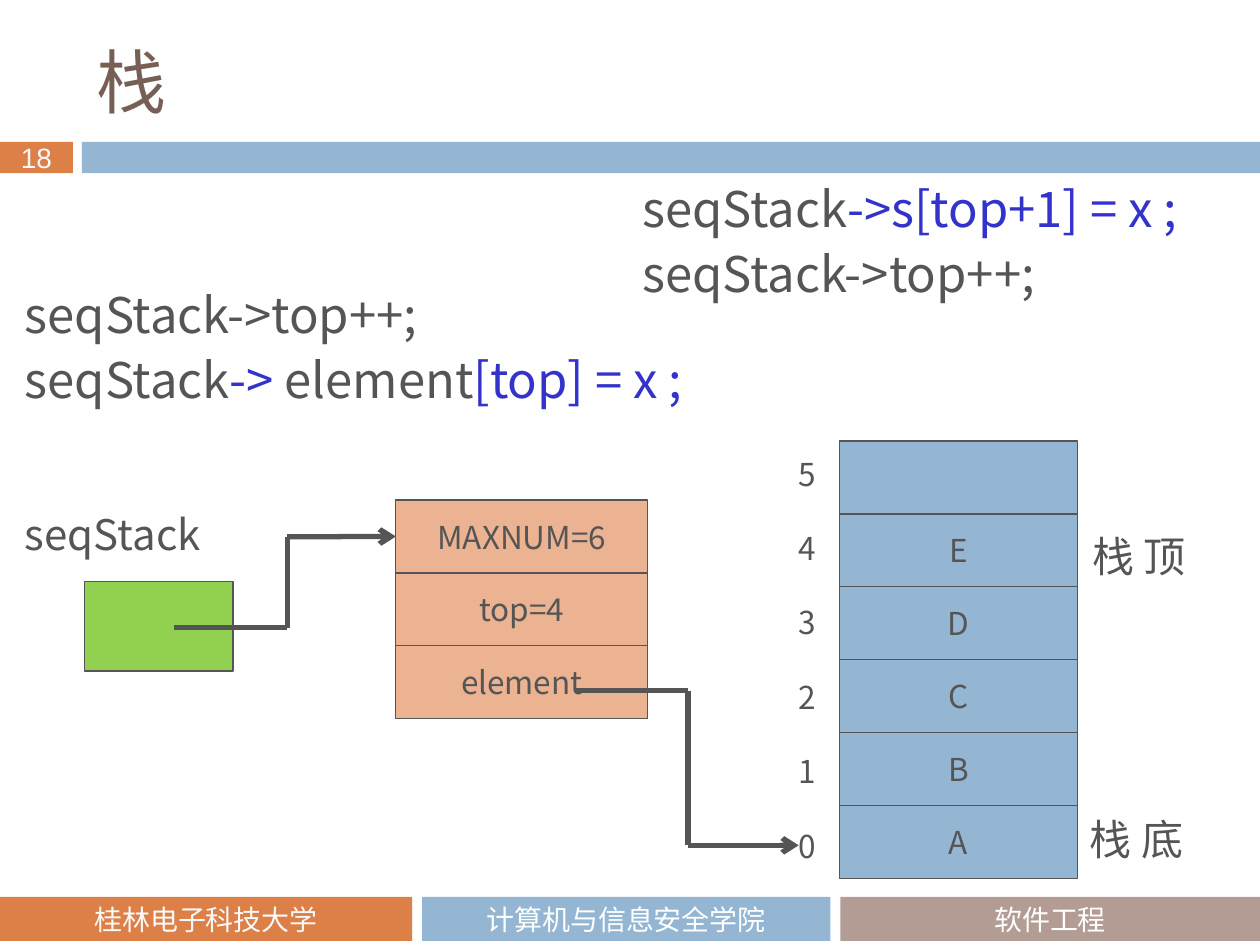
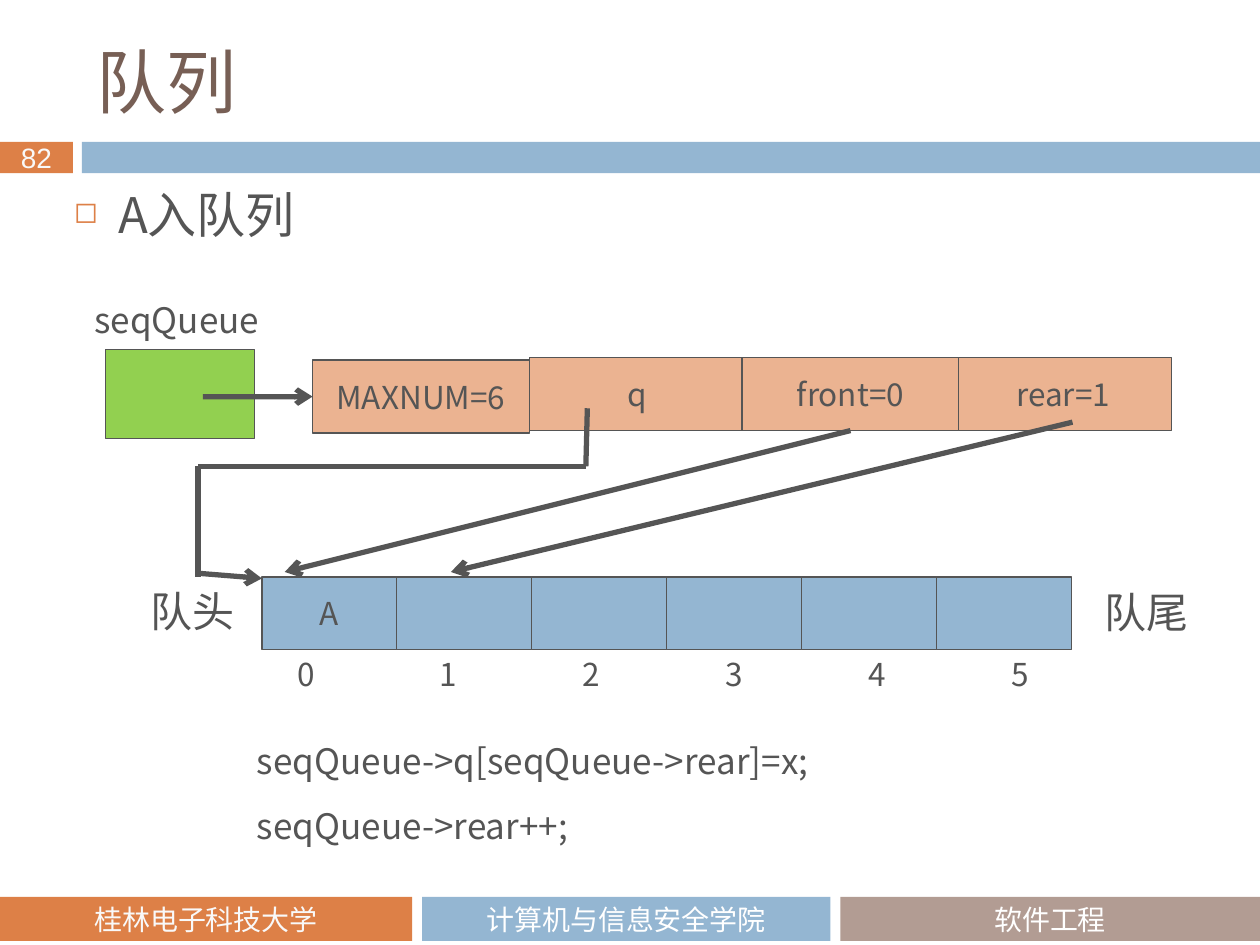
from itertools import pairwise

from lxml import etree
from pptx import Presentation
from pptx import util as u
from pptx.dml.color import RGBColor
from pptx.enum import shapes, text
from pptx.oxml import ns

COLOURS = {
    "orange": "DD8047", "blue": "94B6D2", "taupe": "B29C93",
    "peach": "EBB391", "green": "92D050", "ink": "555555",
    "code": "3333CC", "title": "775F55", "white": "FFFFFF", "pale": "F9F9F9",
}
BODY_FONT = "Noto Sans CJK SC"
TITLE_FONT = "Noto Sans CJK JP"
FOOTERS = [
    (0, 8.31, "orange", "桂林电子科技大学", "pale"),
    (8.51, 8.23, "blue", "计算机与信息安全学院", "white"),
    (16.94, 8.46, "taupe", "软件工程", "white"),
]
CELL_HEIGHT = 1.47


def rgb(name):
    return RGBColor.from_string(COLOURS[name])


def add_xml(parent, tag, **attributes):
    return etree.SubElement(parent, ns.qn(tag), attributes)


class Deck:
    def __init__(self):
        self.prs = Presentation()
        self.prs.slide_width, self.prs.slide_height = u.Cm(25.4), u.Cm(19.05)
        self.slide = None

    def style_run(self, run, size, colour="ink", font=BODY_FONT):
        run.font.size = u.Pt(size)
        run.font.name = font
        run.font.color.rgb = rgb(colour)
        add_xml(run._r.get_or_add_rPr(), "a:ea", typeface=font)

    def start_slide(self, title, number):
        """Add a slide with its title, number band and footers."""
        self.slide = self.prs.slides.add_slide(self.prs.slide_layouts[5])
        heading = self.slide.shapes.title
        heading.left, heading.top = u.Cm(1.7), u.Cm(0.64)
        heading.width, heading.height = u.Cm(22.66), u.Cm(1.98)
        heading.text_frame.text = title
        heading.text_frame.vertical_anchor = text.MSO_ANCHOR.MIDDLE
        paragraph = heading.text_frame.paragraphs[0]
        paragraph.alignment = text.PP_ALIGN.LEFT
        self.style_run(paragraph.runs[0], 40, "title", TITLE_FONT)

        self.band(0, 2.86, 1.47, 0.63, "orange", number, "pale", "Arial")
        self.band(1.65, 2.86, 23.75, 0.63, "blue")
        for left, width, fill, words, colour in FOOTERS:
            self.band(left, 18.08, width, 0.89, fill, words, colour)

    def rect(self, left, top, width, height, fill):
        box = self.slide.shapes.add_shape(
            shapes.MSO_SHAPE.RECTANGLE,
            u.Cm(left), u.Cm(top), u.Cm(width), u.Cm(height))
        box.shadow.inherit = False
        box.fill.solid()
        box.fill.fore_color.rgb = rgb(fill)
        return box

    def centre_text(self, box, words, size, colour="ink", font=BODY_FONT):
        frame = box.text_frame
        frame.margin_top = frame.margin_bottom = 0
        frame.margin_left = frame.margin_right = 0
        frame.vertical_anchor = text.MSO_ANCHOR.MIDDLE
        frame.text = words
        frame.paragraphs[0].alignment = text.PP_ALIGN.CENTER
        self.style_run(frame.paragraphs[0].runs[0], size, colour, font)

    def band(self, left, top, width, height, fill, words="",
             colour="white", font="Calibri"):
        box = self.rect(left, top, width, height, fill)
        box.line.fill.background()
        if words:
            self.centre_text(box, words, 16, colour, font)

    def cell(self, left, top, width, fill, words="", height=CELL_HEIGHT):
        """Draw one outlined memory cell."""
        box = self.rect(left, top, width, height, fill)
        box.line.color.rgb = rgb("ink")
        box.line.width = u.Pt(0.75)
        if words:
            self.centre_text(box, words, 18)
        return box

    def pointer_cell(self, left, top):
        self.cell(left, top, 3, "green", height=1.8)

    def text_box(self, left, top, width, height):
        box = self.slide.shapes.add_textbox(
            u.Cm(left), u.Cm(top), u.Cm(width), u.Cm(height))
        box.text_frame.word_wrap = True
        return box.text_frame

    def lines(self, left, top, width, height, size, *rows):
        """Write rows of text; each row is a list of (words, colour) runs or a string."""
        frame = self.text_box(left, top, width, height)
        for i, row in enumerate(rows):
            paragraph = frame.add_paragraph() if i else frame.paragraphs[0]
            paragraph.line_spacing = u.Pt(30)
            if i:
                paragraph.space_before = u.Pt(7)
            for words, colour in [(row, "ink")] if isinstance(row, str) else row:
                run = paragraph.add_run()
                run.text = words
                self.style_run(run, size, colour)
        return frame

    def label(self, left, top, width, words, size=24):
        self.lines(left, top, width, 1.32, size, words)

    def bullet(self, left, top, width, height, words):
        frame = self.lines(left, top, width, height, 28, words)
        properties = frame.paragraphs[0]._p.get_or_add_pPr()
        indent = u.Cm(0.89)
        properties.set("marL", str(indent))
        properties.set("indent", str(-indent))
        add_xml(add_xml(properties, "a:buClr"), "a:srgbClr", val=COLOURS["orange"])
        add_xml(properties, "a:buSzPct", val="60000")
        add_xml(properties, "a:buChar", char="◻")

    def index(self, left, top, number):
        frame = self.text_box(left, top, 0.91, 1.02)
        frame.word_wrap = False
        frame.text = str(number)
        self.style_run(frame.paragraphs[0].runs[0], 18)

    def route(self, *points, arrow=True, source=None, target=None):
        """Join points by straight lines; source leaves at its bottom, target is met at its left."""
        for start, end in pairwise(points):
            line = self.slide.shapes.add_connector(
                shapes.MSO_CONNECTOR.STRAIGHT, *map(u.Cm, start + end))
            line.line.color.rgb = rgb("ink")
            line.line.width = u.Pt(3)
            properties = line.element.spPr
            if arrow and end == points[-1]:
                add_xml(properties.find(ns.qn("a:ln")), "a:tailEnd", type="arrow")
            add_xml(properties, "a:effectLst")
            if source and start == points[0]:
                line.begin_connect(source, 2)
            if target and end == points[-1]:
                line.end_connect(target, 1)


def build_stack(deck):
    deck.start_slide("栈", "18")
    deck.label(21.72, 16.23, 3.15, "栈 底")
    deck.label(21.77, 10.52, 3.15, "栈 顶")
    for row, item in enumerate(["", *"EDCBA"]):
        deck.cell(16.92, 8.89 + row * CELL_HEIGHT, 4.8, "blue", item)
        deck.index(15.85, 9.04 + row * 1.5, 5 - row)
    maxnum, _, _ = [
        deck.cell(7.98, 10.08 + row * CELL_HEIGHT, 5.08, "peach", field)
        for row, field in enumerate(["MAXNUM=6", "top=4", "element"])]
    deck.pointer_cell(1.7, 11.73)
    deck.label(0.25, 10.08, 4.32, "seqStack")
    deck.route((3.51, 12.65), (5.79, 12.65), (5.79, 10.82), (7.98, 10.82),
               target=maxnum)
    deck.route((11.61, 13.92), (13.87, 13.92), (13.87, 17.04), (16.1, 17.04))
    deck.lines(0.25, 5.74, 16.97, 2.84, 28,
               "seqStack->top++;",
               [("seqStack", "ink"), ("->", "code"),
                (" element", "ink"), ("[top] = x ;", "code")])
    deck.lines(12.7, 3.61, 12.45, 2.97, 28,
               [("seqStack", "ink"), ("->s[top+1] = x ;", "code")],
               "seqStack->top++;")


def build_queue(deck):
    deck.start_slide("队列", "82")
    deck.cell(10.67, 7.21, 4.37, "peach", "q")
    deck.cell(19.25, 7.21, 4.37, "peach", "rear=1")
    front = deck.cell(14.96, 7.21, 4.37, "peach", "front=0")
    maxnum = deck.cell(6.3, 7.26, 4.37, "peach", "MAXNUM=6")
    deck.label(22.02, 11.66, 3.15, "队尾")
    deck.label(2.79, 11.63, 2.39, "队头")
    deck.pointer_cell(2.13, 7.04)
    deck.label(1.65, 5.69, 3.99, "seqQueue", 20)
    for slot in range(6):
        deck.cell(5.28 + slot * 2.72, 11.63, 2.72, "blue", "" if slot else "A")
        deck.index(5.74 + slot * 2.88, 13.08, slot)
    deck.route((4.09, 8), (6.3, 8), target=maxnum)
    deck.route((11.84, 8.23), (11.81, 9.4), (3.99, 9.4), (3.99, 11.63), arrow=False)
    deck.route((4.04, 11.56), (5.28, 11.66))
    deck.route((17.15, 8.68), (5.74, 11.53), source=front)
    deck.route((21.62, 8.51), (9.09, 11.53))
    deck.lines(4.93, 14.58, 14.99, 2.97, 20,
               "seqQueue->q[seqQueue->rear]=x;", "seqQueue->rear++;")
    deck.bullet(1.24, 3.73, 22.66, 1.75, "A入队列")


def main():
    deck = Deck()
    build_stack(deck)
    build_queue(deck)
    deck.prs.save("out.pptx")


if __name__ == "__main__":
    main()
